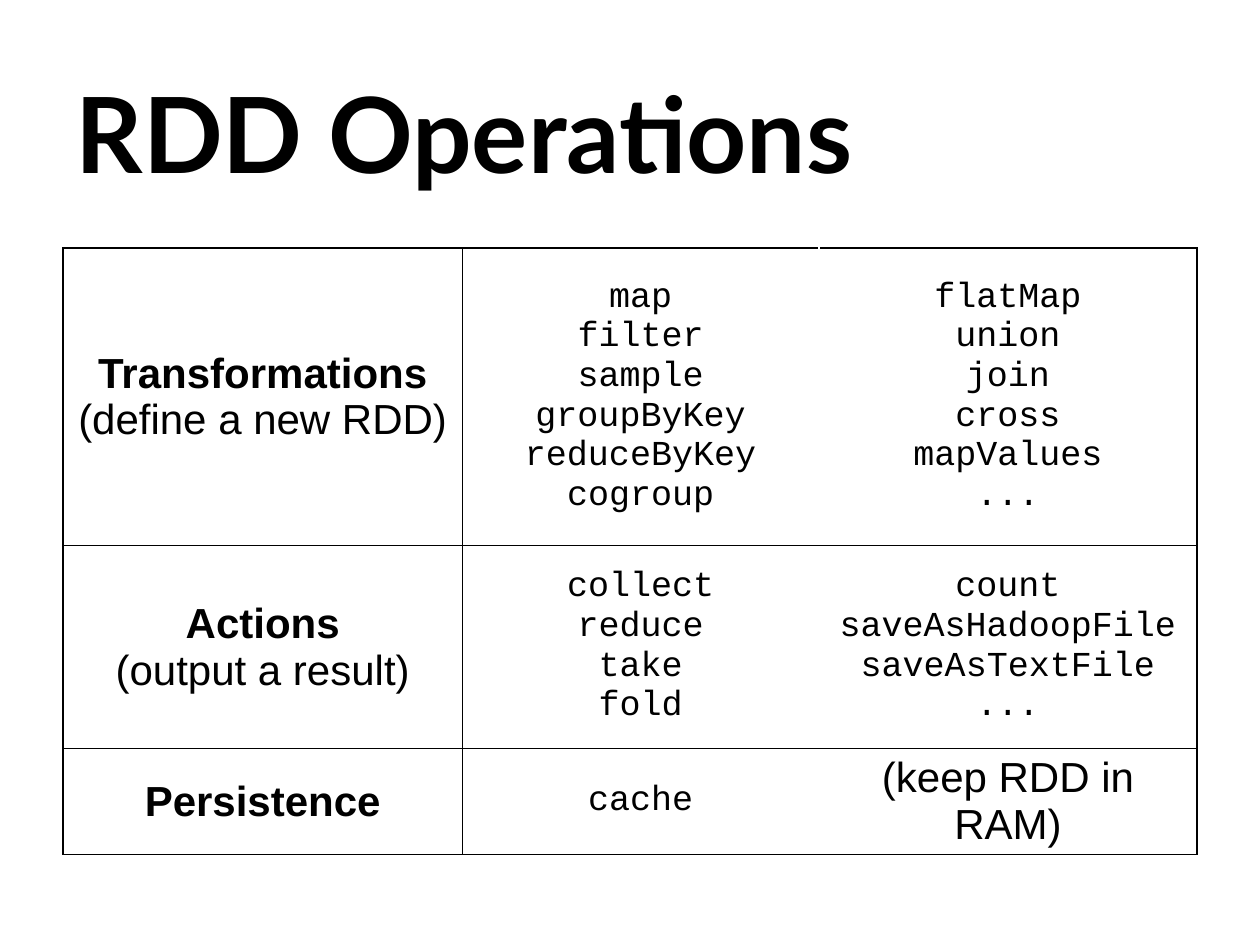
from pptx import Presentation
from pptx.dml.color import RGBColor
from pptx.enum import text
from pptx.oxml import ns, xmlchemy
from pptx.util import Inches, Pt

BLACK, WHITE = "000000", "FFFFFF"
LABEL = {"name": "Arial", "size": Pt(24), "bold": True}
NOTE = {**LABEL, "bold": False}
CODE = {"name": "Courier New", "size": Pt(20), "bold": False}

COLS = [3.17, 2.83, 3]
ROWS = [2.36, 1.61, 0.56]
# Each cell is a list of (text, format); \v is a line break
CELLS = [
    [[("Transformations", LABEL), ("(define a new RDD)", NOTE)],
     [(t, CODE) for t in ("map", "filter", "sample", "groupByKey",
                          "reduceByKey", "cogroup")],
     [(t, CODE) for t in ("flatMap", "union", "join",
                          "cross\vmapValues", "...")]],
    [[("Actions", LABEL), ("(output a result)", NOTE)],
     [(t, CODE) for t in ("collect", "reduce", "take\vfold")],
     [(t, CODE) for t in ("count", "saveAsHadoopFile",
                          "saveAsTextFile", "...")]],
    [[("Persistence", LABEL)],
     [("cache", CODE)],
     [("(keep RDD in RAM)", NOTE)]],
]


def color(fmt, value):
    fmt.rgb = RGBColor.from_string(value)


def write(para, words, style, align):
    para.text = words
    para.alignment = align
    for run in para.runs:
        for key, value in style.items():
            setattr(run.font, key, value)
        color(run.font.color, BLACK)


def edge(cell, side, value):
    props = cell._tc.get_or_add_tcPr()
    line = xmlchemy.OxmlElement(f"a:{side}")
    line.set("w", str(Pt(1)))
    fill = xmlchemy.OxmlElement("a:solidFill")
    tint = xmlchemy.OxmlElement("a:srgbClr")
    tint.set("val", value)
    fill.append(tint)
    line.append(fill)
    # Borders come before the fill in the cell properties
    props.insert(len(props.findall(ns.qn("a:lnL")) + props.findall(ns.qn("a:lnR"))
                     + props.findall(ns.qn("a:lnT"))), line)


def fill_cell(cell, items, col):
    cell.vertical_anchor = text.MSO_ANCHOR.MIDDLE
    cell.fill.background()
    frame = cell.text_frame
    for i, (words, style) in enumerate(items):
        para = frame.add_paragraph() if i else frame.paragraphs[0]
        write(para, words, style, text.PP_ALIGN.CENTER)
    # The line between the two operation columns is white
    edge(cell, "lnL", WHITE if col == 2 else BLACK)
    edge(cell, "lnR", WHITE if col == 1 else BLACK)
    edge(cell, "lnT", BLACK)
    edge(cell, "lnB", BLACK)


def add_title(slide, words):
    title = slide.shapes.title
    box = {"left": 0.5, "top": 0.42, "width": 9, "height": 1.25}
    for key, value in box.items():
        setattr(title, key, Inches(value))
    title.text_frame.vertical_anchor = text.MSO_ANCHOR.MIDDLE
    write(title.text_frame.paragraphs[0], words,
          {"name": "Lato", "size": Pt(60), "bold": True}, text.PP_ALIGN.LEFT)


def add_grid(slide):
    table = slide.shapes.add_table(
        len(ROWS), len(COLS), Inches(0.5), Inches(1.97),
        Inches(sum(COLS)), Inches(sum(ROWS))).table
    table.first_row = table.horz_banding = False
    for col, width in zip(table.columns, COLS):
        col.width = Inches(width)
    for r, height in enumerate(ROWS):
        table.rows[r].height = Inches(height)
        for c, items in enumerate(CELLS[r]):
            fill_cell(table.cell(r, c), items, c)


def main():
    deck = Presentation()
    deck.slide_width, deck.slide_height = Inches(10), Inches(7.5)
    slide = deck.slides.add_slide(deck.slide_layouts[5])
    slide.background.fill.solid()
    color(slide.background.fill.fore_color, WHITE)
    add_title(slide, "RDD Operations")
    add_grid(slide)
    deck.save("out.pptx")


main()
